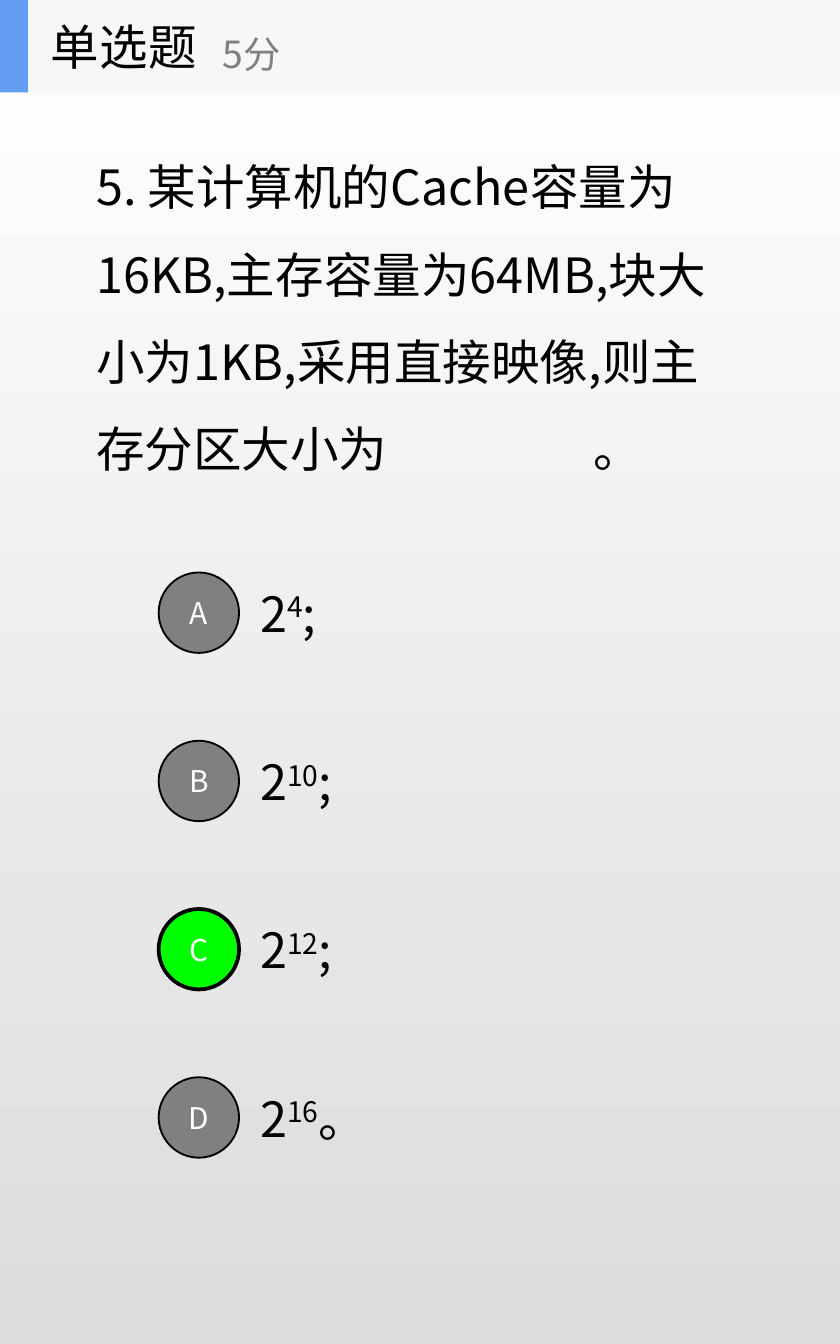
from dataclasses import dataclass

import lxml.etree
import pptx
import pptx.dml.color
import pptx.enum.shapes
import pptx.enum.text
import pptx.oxml.ns
import pptx.util
from pptx.util import Cm

SHAPES = pptx.enum.shapes.MSO_SHAPE
ALIGN = pptx.enum.text.PP_ALIGN
AUTO_SIZE = pptx.enum.text.MSO_AUTO_SIZE
ANCHOR = pptx.enum.text.MSO_ANCHOR


@dataclass(frozen=True)
class Theme:
    font: str = "Noto Sans CJK SC"
    ink: str = "000000"
    muted: str = "808080"
    light: str = "FFFFFF"
    shade: str = "DCDCDC"
    band: str = "F6F7F8"
    accent: str = "639EF4"
    correct: str = "00FF00"
    body_size: int = 26
    score_size: int = 20
    letter_size: int = 16


THEME = Theme()


def rgb(color):
    return pptx.dml.color.RGBColor.from_string(color)


def add_span(para, text, size=THEME.body_size, color=THEME.ink, underline=None, raised=False):
    span = para.add_run()
    span.text = text
    span.font.size = pptx.util.Pt(size)
    span.font.name = THEME.font
    span.font.color.rgb = rgb(color)
    span.font.underline = underline
    properties = span._r.get_or_add_rPr()
    east_asian = lxml.etree.SubElement(properties, pptx.oxml.ns.qn("a:ea"))
    east_asian.set("typeface", THEME.font)
    if raised:
        properties.set("baseline", "30000")


def format_frame(shape, wrap=True, auto_size=AUTO_SIZE.NONE):
    """Centre the text vertically and return its first paragraph."""
    frame = shape.text_frame
    frame.word_wrap = wrap
    frame.auto_size = auto_size
    frame.vertical_anchor = ANCHOR.MIDDLE
    return frame.paragraphs[0]


def add_text_box(page, left, top, width, height, **frame_options):
    box = page.shapes.add_textbox(left, top, width, height)
    return format_frame(box, **frame_options)


def add_filled_shape(page, kind, left, top, width, height, fill, line_width=0):
    shape = page.shapes.add_shape(kind, left, top, width, height)
    shape.shadow.inherit = False
    shape.fill.solid()
    shape.fill.fore_color.rgb = rgb(fill)
    if line_width:
        shape.line.color.rgb = rgb(THEME.ink)
        shape.line.width = pptx.util.Pt(line_width)
    else:
        shape.line.fill.background()
    return shape


def set_background(page):
    fill = page.background.fill
    fill.gradient()
    fill.gradient_angle = 270
    for stop, color in zip(fill.gradient_stops, (THEME.light, THEME.shade)):
        stop.color.rgb = rgb(color)


def set_tab_stop(para, position):
    tabs = lxml.etree.SubElement(para._p.get_or_add_pPr(), pptx.oxml.ns.qn("a:tabLst"))
    lxml.etree.SubElement(tabs, pptx.oxml.ns.qn("a:tab"), pos=str(int(position)), algn="l")


def add_question(page):
    """Write the question; an underlined tab draws the answer blank."""
    para = add_text_box(page, Cm(1.57), Cm(2.26), Cm(12.14), Cm(6.93),
                        auto_size=AUTO_SIZE.SHAPE_TO_FIT_TEXT)
    para.line_spacing = 1.5
    set_tab_stop(para, Cm(9.2))
    add_span(para, "5. 某计算机的Cache容量为16KB,主存容量为64MB,块大小为1KB,"
                   "采用直接映像,则主存分区大小为 ")
    add_span(para, "\t", underline=True)
    add_span(para, " 。", underline=False)


def add_option(page, top, letter, exponent, ending, is_correct):
    para = add_text_box(page, Cm(4.67), top + Cm(0.08), Cm(3.05), Cm(1.37),
                        auto_size=AUTO_SIZE.SHAPE_TO_FIT_TEXT)
    add_span(para, "2")
    add_span(para, exponent, raised=True)
    add_span(para, ending)

    fill, line_width = (THEME.correct, 2) if is_correct else (THEME.muted, 1)
    circle = add_filled_shape(page, SHAPES.OVAL, Cm(3), top, Cm(1.52), Cm(1.52),
                              fill, line_width)
    para = format_frame(circle)
    para.alignment = ALIGN.CENTER
    add_span(para, letter, THEME.letter_size, THEME.light)


def add_header(page, page_width):
    height = Cm(1.75)
    add_filled_shape(page, SHAPES.RECTANGLE, 0, 0, page_width, height, THEME.band)
    add_filled_shape(page, SHAPES.RECTANGLE, 0, 0, Cm(0.53), height, THEME.accent)

    title = page.shapes.title
    title.left, title.top, title.width, title.height = Cm(0.71), Cm(0), Cm(5.28), height
    page.shapes.element.append(title.element)  # in front of the band
    para = format_frame(title, wrap=False)
    para.alignment = ALIGN.LEFT
    add_span(para, "单选题")

    para = add_text_box(page, Cm(3.96), Cm(0.3), Cm(6.35), Cm(1.42), wrap=False)
    add_span(para, "5分", THEME.score_size, THEME.muted)


def main():
    deck = pptx.Presentation()
    deck.slide_width, deck.slide_height = Cm(15.88), Cm(25.4)
    page = deck.slides.add_slide(deck.slide_layouts.get_by_name("Title Only"))
    set_background(page)
    add_question(page)

    options = [("A", "4", ";"), ("B", "10", ";"), ("C", "12", ";"), ("D", "16", "。")]
    for row, (letter, exponent, ending) in enumerate(options):
        add_option(page, Cm(10.82) + row * Cm(3.18), letter, exponent, ending, letter == "C")

    add_header(page, deck.slide_width)
    deck.save("out.pptx")


if __name__ == "__main__":
    main()
